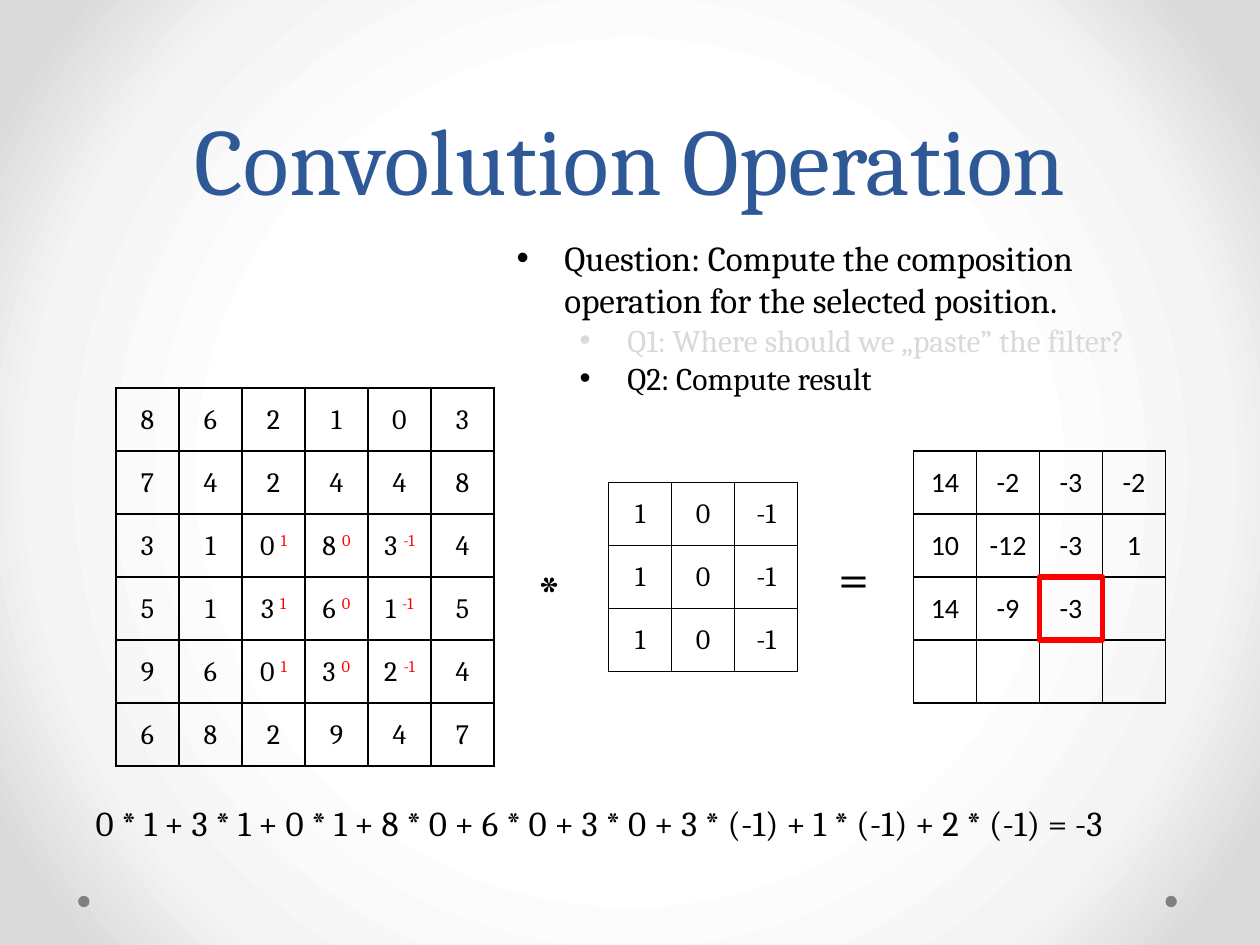
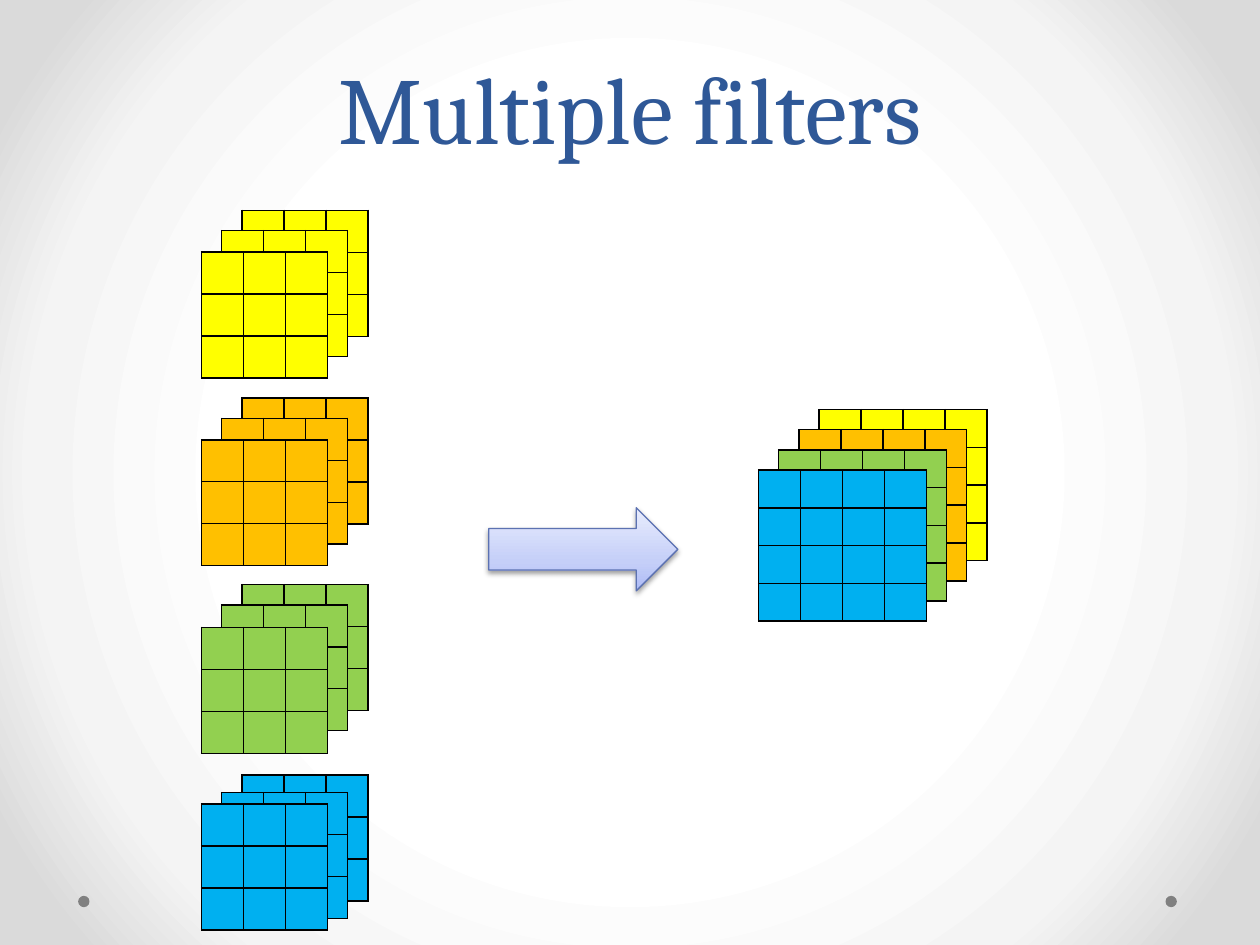
"""Build two slides on convolution: one worked position, and stacks of filters."""
from pptx import Presentation
from pptx.dml.color import RGBColor
from pptx.enum import shapes, text
from pptx.oxml import parse_xml
from pptx.oxml.ns import nsdecls
from pptx.util import Inches, Pt

BLACK = RGBColor(0x00, 0x00, 0x00)
RED = RGBColor(0xFF, 0x00, 0x00)
TITLE_BLUE = RGBColor(0x2F, 0x58, 0x97)
FADED = RGBColor(0xD9, 0xD9, 0xD9)
DOT_GRAY = RGBColor(0x80, 0x80, 0x80)
ARROW_EDGE = RGBColor(0x5C, 0x72, 0xB2)
YELLOW = RGBColor(0xFF, 0xFF, 0x00)
ORANGE = RGBColor(0xFF, 0xC0, 0x00)
GREEN = RGBColor(0x92, 0xD0, 0x50)
BLUE = RGBColor(0x00, 0xB0, 0xF0)
BACKDROP = [(50, RGBColor(0xFF, 0xFF, 0xFF)), (76, RGBColor(0xF4, 0xF4, 0xF4)),
            (92, RGBColor(0xDA, 0xDA, 0xDA))]
ARROW_FADE = [(0, RGBColor(0xAD, 0xBB, 0xF6)), (35, RGBColor(0xC5, 0xCF, 0xF8)),
              (100, RGBColor(0xE8, 0xEC, 0xFD))]
RADIAL = '<a:path path="circle"><a:fillToRect l="50000" t="50000" r="50000" b="50000"/></a:path>'
UPWARD = '<a:lin ang="16200000" scaled="0"/>'

IMAGE = [[8, 6, 2, 1, 0, 3],
         [7, 4, 2, 4, 4, 8],
         [3, 1, 0, 8, 3, 4],
         [5, 1, 3, 6, 1, 5],
         [9, 6, 0, 3, 2, 4],
         [6, 8, 2, 9, 4, 7]]
KERNEL = [[1, 0, -1]] * 3
RESULT = [[14, -2, -3, -2],
          [10, -12, -3, 1],
          [14, -9, -3, ""],
          [""] * 4]
SELECTED_ROW, SELECTED_COL = 2, 2
CELL = 0.5
IMAGE_AT, KERNEL_AT, RESULT_AT = (0.92, 3.08), (4.83, 3.83), (7.25, 3.58)
OPERATORS = [("*", 4.17, 4.38), ("=", 6.56, 4.26)]
QUESTIONS = [
    ("Question: Compute the composition operation for the selected position.", 0, 20, BLACK),
    ("Q1: Where should we „paste” the filter?", 1, 18, FADED),
    ("Q2: Compute result", 1, 18, BLACK),
]
SUM = "0 * 1 + 3 * 1 + 0 * 1 + 8 * 0 + 6 * 0 + 3 * 0 + 3 * (-1) + 1 * (-1) + 2 * (-1) = -3"

FILTER_LEFTS = (1.92, 1.76, 1.6)
FILTERS = [(YELLOW, (1.67, 1.83, 2.0)), (ORANGE, (3.16, 3.32, 3.49)),
           (GREEN, (4.64, 4.8, 4.98)), (BLUE, (6.15, 6.29, 6.38))]
MAP_AT, MAP_STEP = (6.5, 3.25), 0.16


def gradient(stops, direction):
    marks = "".join(f'<a:gs pos="{at * 1000}"><a:srgbClr val="{color}"/></a:gs>'
                    for at, color in stops)
    return parse_xml(f'<a:gradFill {nsdecls("a")} rotWithShape="1">'
                     f'<a:gsLst>{marks}</a:gsLst>{direction}</a:gradFill>')


def write(frame, words, size=20, color=BLACK, font="Cambria", align=None,
          line=None, raised="", level=0, bullet=False):
    paragraph = frame.paragraphs[0]
    if paragraph.runs:
        paragraph = frame.add_paragraph()
    paragraph.level = level
    if bullet:
        properties = paragraph._p.get_or_add_pPr()
        properties.set("marL", str(Inches(0.38 + 0.5 * level)))
        properties.set("indent", str(-Inches(0.38)))
        properties.append(parse_xml(f'<a:buFont {nsdecls("a")} typeface="Arial"/>'))
        properties.append(parse_xml(f'<a:buChar {nsdecls("a")} char="•"/>'))
    paragraph.space_before = Pt(0)
    paragraph.alignment = align
    paragraph.line_spacing = line
    for part, tint in ((words, color), (raised, RED)):
        if part:
            run = paragraph.add_run()
            run.text = part
            run.font.size, run.font.name = Pt(size), font
            run.font.color.rgb = tint
    if raised:
        run._r.get_or_add_rPr().set("baseline", "30000")


def place(part, left, top, width, height):
    part.left, part.top = Inches(left), Inches(top)
    part.width, part.height = Inches(width), Inches(height)
    frame = part.text_frame
    frame.word_wrap = True
    frame.auto_size = text.MSO_AUTO_SIZE.NONE
    return frame


def add_label(slide, words, left, top, width, height, **style):
    box = slide.shapes.add_textbox(0, 0, 0, 0)
    write(place(box, left, top, width, height), words, **style)


def add_titled_slide(deck, layout, title, height):
    slide = deck.slides.add_slide(deck.slide_layouts[layout])
    frame = place(slide.shapes.title, 0.5, 0, 9, height)
    frame.vertical_anchor = text.MSO_ANCHOR.BOTTOM
    write(frame, title, size=54, color=TITLE_BLUE, align=text.PP_ALIGN.CENTER, line=Pt(58))
    return slide


def add_grid(slide, values, at, col, row, fill=None, font="Cambria", raised=None):
    grid = slide.shapes.add_table(
        len(values), len(values[0]), Inches(at[0]), Inches(at[1]),
        Inches(col * len(values[0])), Inches(row * len(values))).table
    grid.first_row = grid.horz_banding = False
    for column in grid.columns:
        column.width = Inches(col)
    for r, line in enumerate(values):
        grid.rows[r].height = Inches(row)
        for c, value in enumerate(line):
            cell = grid.cell(r, c)
            cell.margin_left = cell.margin_right = cell.margin_top = Inches(0.01)
            cell.margin_bottom = 0
            cell.vertical_anchor = text.MSO_ANCHOR.MIDDLE
            if fill is None:
                cell.fill.background()
            else:
                cell.fill.solid()
                cell.fill.fore_color.rgb = fill
            for order, side in enumerate("LRTB"):
                cell._tc.tcPr.insert(order, parse_xml(
                    f'<a:ln{side} {nsdecls("a")} w="{Pt(1)}"><a:solidFill>'
                    f'<a:srgbClr val="{BLACK}"/></a:solidFill></a:ln{side}>'))
            if value == "":
                cell.text_frame.paragraphs[0]._p.append(
                    parse_xml(f'<a:endParaRPr {nsdecls("a")} sz="800"/>'))
                continue
            mark = (raised or {}).get((r, c), "")
            write(cell.text_frame, f"{value} " if mark else str(value), size=16, font=font,
                  align=text.PP_ALIGN.CENTER, raised=mark)


def add_backdrop(master, slide):
    fill = master.background.fill
    fill.solid()
    solid = master.element.cSld.bg.bgPr[0]
    solid.getparent().replace(solid, gradient(BACKDROP, RADIAL))
    for left in (9.25, 0.62):
        dot = slide.shapes.add_shape(shapes.MSO_SHAPE.OVAL, Inches(left), Inches(7.11),
                                     Inches(0.09), Inches(0.09))
        dot.shadow.inherit = False
        dot.fill.solid()
        dot.fill.fore_color.rgb = DOT_GRAY
        dot.line.fill.background()
        master.shapes.element.append(dot.element)


def build_operation(deck):
    slide = add_titled_slide(deck, 1, "Convolution Operation", 1.75)
    add_backdrop(deck.slide_master, slide)
    weights = {(SELECTED_ROW + r, SELECTED_COL + c): str(weight)
               for r, line in enumerate(KERNEL) for c, weight in enumerate(line)}
    add_grid(slide, IMAGE, IMAGE_AT, CELL, CELL, raised=weights)
    add_grid(slide, KERNEL, KERNEL_AT, CELL, CELL)
    add_grid(slide, RESULT, RESULT_AT, CELL, CELL, font="Calibri")
    for sign, left, top in OPERATORS:
        add_label(slide, sign, left, top, 0.42, 0.64, size=32)
    marker = slide.shapes.add_shape(
        shapes.MSO_SHAPE.RECTANGLE, Inches(RESULT_AT[0] + CELL * SELECTED_COL),
        Inches(RESULT_AT[1] + CELL * SELECTED_ROW), Inches(CELL), Inches(CELL))
    marker.shadow.inherit = False
    marker.fill.background()
    marker.line.color.rgb, marker.line.width = RED, Pt(3)
    questions = place(slide.placeholders[1], 4, 1.83, 5.5, 1.38)
    for words, level, size, color in QUESTIONS:
        write(questions, words, size=size, color=color, level=level, bullet=True)
    add_label(slide, SUM, 0.66, 6.31, 8.58, 0.44)


def build_filters(deck):
    slide = add_titled_slide(deck, 5, "Multiple filters", 1.35)
    for color, tops in FILTERS:
        for at in zip(FILTER_LEFTS, tops):
            add_grid(slide, [[""] * 3] * 3, at, 1 / 3, 1 / 3, fill=color)
    for depth, (color, _) in enumerate(FILTERS):
        at = MAP_AT[0] - MAP_STEP * depth, MAP_AT[1] + MAP_STEP * depth
        add_grid(slide, [[""] * 4] * 4, at, 1 / 3, 0.3, fill=color)
    arrow = slide.shapes.add_shape(shapes.MSO_SHAPE.RIGHT_ARROW, Inches(3.88), Inches(4.03),
                                   Inches(1.5), Inches(0.66))
    arrow.line.color.rgb, arrow.line.width = ARROW_EDGE, Pt(0.75)
    arrow.shadow.inherit = False
    arrow.fill.solid()
    solid = arrow.element.spPr.find("{*}solidFill")
    solid.getparent().replace(solid, gradient(ARROW_FADE, UPWARD))
    arrow.element.spPr.find("{*}effectLst").append(parse_xml(
        f'<a:outerShdw {nsdecls("a")} blurRad="{Pt(3.1)}" dist="{Pt(1.6)}" dir="5400000" '
        f'rotWithShape="0"><a:srgbClr val="{BLACK}"><a:alpha val="38000"/></a:srgbClr>'
        '</a:outerShdw>'))


def main():
    deck = Presentation()
    deck.slide_width, deck.slide_height = Inches(10), Inches(7.5)
    build_operation(deck)
    build_filters(deck)
    deck.save("out.pptx")


if __name__ == "__main__":
    main()
